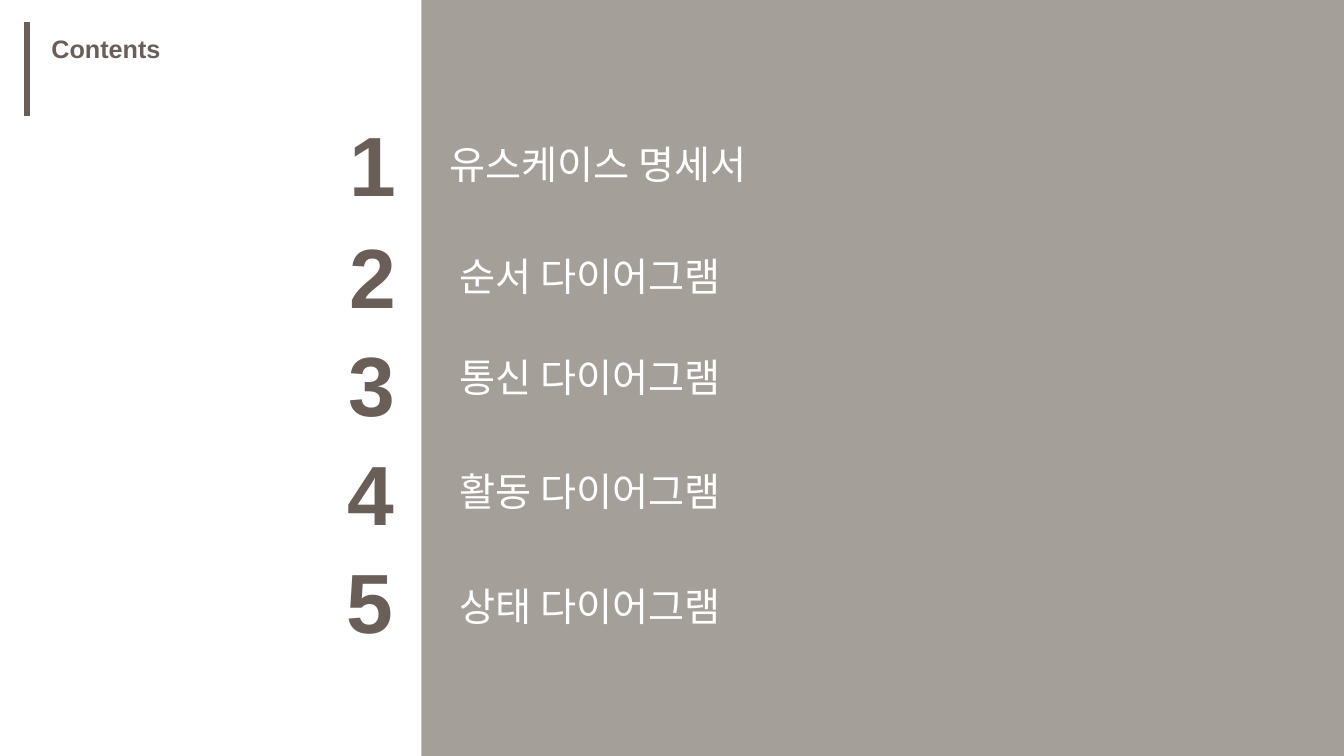
from pptx import Presentation
from pptx.dml.color import RGBColor
from pptx.enum.shapes import MSO_CONNECTOR as Conn, MSO_SHAPE as Shape
from pptx.enum.text import MSO_ANCHOR as Anchor, MSO_AUTO_SIZE as Fit, PP_ALIGN as Align
from pptx.oxml.ns import qn
from pptx.util import Inches, Pt
from lxml.etree import SubElement

BROWN = RGBColor(0x6A, 0x5F, 0x58)
WHITE = RGBColor(0xFF, 0xFF, 0xFF)


def write(box, text, size, font, color, bold=False, wrap=False):
    frame = box.text_frame
    frame.text = text
    frame.word_wrap = wrap
    frame.auto_size = Fit.SHAPE_TO_FIT_TEXT
    frame.vertical_anchor = Anchor.TOP
    para = frame.paragraphs[0]
    para.alignment = Align.LEFT
    para.line_spacing = 1.0
    run = para.runs[0]
    run.font.size = Pt(size)
    run.font.name = font
    run.font.bold = bold
    run.font.color.rgb = color
    # East Asian typeface for the Korean text
    SubElement(run.font._element, qn("a:ea")).set("typeface", font)


prs = Presentation()
prs.slide_width = Inches(13.33)
prs.slide_height = Inches(7.5)
slide = prs.slides.add_slide(prs.slide_layouts[5])
shapes = slide.shapes

# Translucent panel on the right
panel = shapes.add_shape(Shape.RECTANGLE, Inches(4.18), 0, Inches(9.15), Inches(7.5))
panel.shadow.inherit = False
panel.fill.solid()
panel.fill.fore_color.rgb = BROWN
panel.line.fill.background()
tint = panel.fill._xPr.find(qn("a:solidFill"))[0]
SubElement(tint, qn("a:alpha")).set("val", "60000")

# Bar beside the title
bar = shapes.add_connector(Conn.STRAIGHT, Inches(0.27), Inches(0.22), Inches(0.27), Inches(1.15))
bar.line.color.rgb = BROWN
bar.line.width = Pt(4.5)
SubElement(bar._element.spPr, qn("a:effectLst"))

# Title
title = shapes.title
title.left, title.top = Inches(0.41), Inches(0.28)
title.width, title.height = Inches(1.3), Inches(0.4)
write(title, "Contents", 18, "Arial", BROWN, bold=True)

# Numbered topics: text, number left and top, topic left and top
topics = [
    ("유스케이스 명세서", 3.37, 1.07, 4.36, 1.34),
    ("순서 다이어그램", 3.37, 2.18, 4.46, 2.45),
    ("통신 다이어그램", 3.36, 3.25, 4.46, 3.46),
    ("활동 다이어그램", 3.35, 4.33, 4.46, 4.59),
    ("상태 다이어그램", 3.34, 5.4, 4.46, 5.73),
]
for num, (topic, num_x, num_y, x, y) in enumerate(topics, 1):
    box = shapes.add_textbox(Inches(num_x), Inches(num_y), Inches(0.67), Inches(1.11))
    write(box, str(num), 60, "Arial", BROWN, bold=True)
    box = shapes.add_textbox(Inches(x), Inches(y), Inches(3.81), Inches(0.57))
    write(box, topic, 28, "Noto Sans CJK KR", WHITE, wrap=True)

prs.save("out.pptx")
